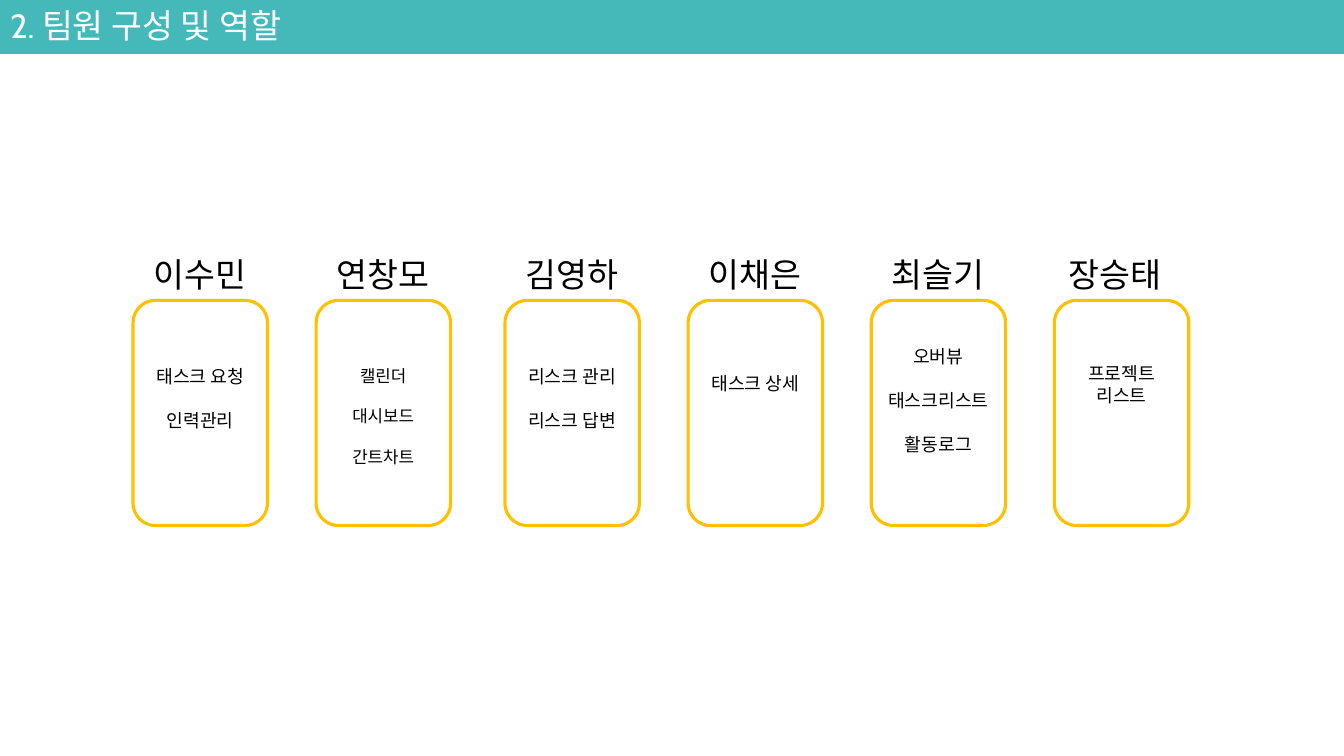
from pptx import Presentation, util as u
from pptx.dml.color import RGBColor
from pptx.enum import shapes, text
from pptx.oxml.ns import qn
from lxml import etree

TEAL = RGBColor(0x45, 0xB9, 0xB9)
GOLD = RGBColor(0xFF, 0xC0, 0x00)
WHITE = RGBColor(0xFF, 0xFF, 0xFF)
BLACK = RGBColor(0, 0, 0)
LATIN, HANGUL = "Cabin", "Noto Sans CJK KR"
COLS, ROWS = 80, 45

TEAM = [
    ("이수민", ["태스크 요청", "인력관리"], 13, 21.48, 4.56, 0.36),
    ("연창모", ["캘린더", "대시보드", "간트차트"], 12, 21.48, 6.66, 0.36),
    ("김영하", ["리스크 관리", "리스크 답변"], 13, 21.48, 4.56, 0.36),
    ("이채은", ["태스크 상세"], 13, 21.84, 1.92, 0.36),
    ("최슬기", ["오버뷰", "태스크리스트", "활동로그"], 13, 20.28, 8.46, 0.36),
    ("장승태", ["프로젝트 리스트"], 13, 21.3, 3.24, 0),
]


class Deck:
    """Holds the style and the current slide, measured on an 80 by 45 grid."""

    def __init__(self):
        self.prs = Presentation()
        self.prs.slide_width, self.prs.slide_height = u.Inches(13.333), u.Inches(7.5)
        self.slide = self.prs.slides.add_slide(self.prs.slide_layouts[5])

    def grid(self, x, y, w, h):
        """Turn columns and rows into lengths."""
        col, row = self.prs.slide_width / COLS, self.prs.slide_height / ROWS
        return [round(n) for n in (x * col, y * row, w * col, h * row)]

    def run(self, para, words, face, size, color):
        """Add one styled run."""
        run = para.add_run()
        run.text = words
        for key, val in dict(name=face, size=u.Pt(size), bold=False).items():
            setattr(run.font, key, val)
        run.font.color.rgb = color
        east = etree.SubElement(run.font._element, qn("a:ea"))
        east.set("typeface", HANGUL)

    def frame(self, shape):
        """Set the text frame's format and return it."""
        style = dict(word_wrap=True, vertical_anchor=text.MSO_ANCHOR.TOP,
                     auto_size=text.MSO_AUTO_SIZE.SHAPE_TO_FIT_TEXT)
        for key, val in style.items():
            setattr(shape.text_frame, key, val)
        return shape.text_frame

    def title(self, parts, *box):
        """Move and fill the title placeholder."""
        shape = self.slide.shapes.title
        for key, val in zip(("left", "top", "width", "height"), self.grid(*box)):
            setattr(shape, key, val)
        para = self.frame(shape).paragraphs[0]
        para.alignment = text.PP_ALIGN.LEFT
        for words, face in parts:
            self.run(para, words, face, 24, WHITE)

    def shape(self, kind, line, width, fill, *box):
        """Add a preset shape."""
        shape = self.slide.shapes.add_shape(kind, *self.grid(*box))
        shape.shadow.inherit = False
        shape.line.color.rgb, shape.line.width = line, u.Pt(width)
        if fill is None:
            shape.fill.background()
        else:
            shape.fill.solid()
            shape.fill.fore_color.rgb = fill
        return shape

    def bar(self, *box):
        """Add the heading bar behind the title."""
        bar = self.shape(shapes.MSO_SHAPE.RECTANGLE, TEAL, 1, TEAL, *box)
        self.slide.shapes.title.element.addprevious(bar.element)

    def label(self, lines, size, *box):
        """Add centred lines, spaced one blank line apart."""
        frame = self.frame(self.slide.shapes.add_textbox(*self.grid(*box)))
        for i, words in enumerate(lines):
            para = frame.add_paragraph() if i else frame.paragraphs[0]
            para.alignment = text.PP_ALIGN.CENTER
            if i:
                para.space_before = u.Pt(round(size * 1.2, 1))
            self.run(para, words, HANGUL, size, BLACK)

    def card(self, i, name, tasks, size, top, high, inset):
        """Add one member's name, frame and tasks."""
        left = 7.92 + 10.9 * i + 0.34 * (i > 1)
        self.label(tasks, size, left + 0.36, top, 7.26, high)
        self.shape(shapes.MSO_SHAPE.ROUNDED_RECTANGLE, GOLD, 2.25, None,
                   left, 17.88, 8, 13.4)
        self.label([name], 24, left + inset, 14.82, 7.26, 3)


def main():
    deck = Deck()
    deck.title([("2. ", LATIN), ("팀원 구성 및 역할", HANGUL)], 0, 0, 22.68, 3)
    deck.bar(0, 0, COLS, 3.2)
    for i, mate in enumerate(TEAM):
        deck.card(i, *mate)
    deck.prs.save("out.pptx")


if __name__ == "__main__":
    main()
